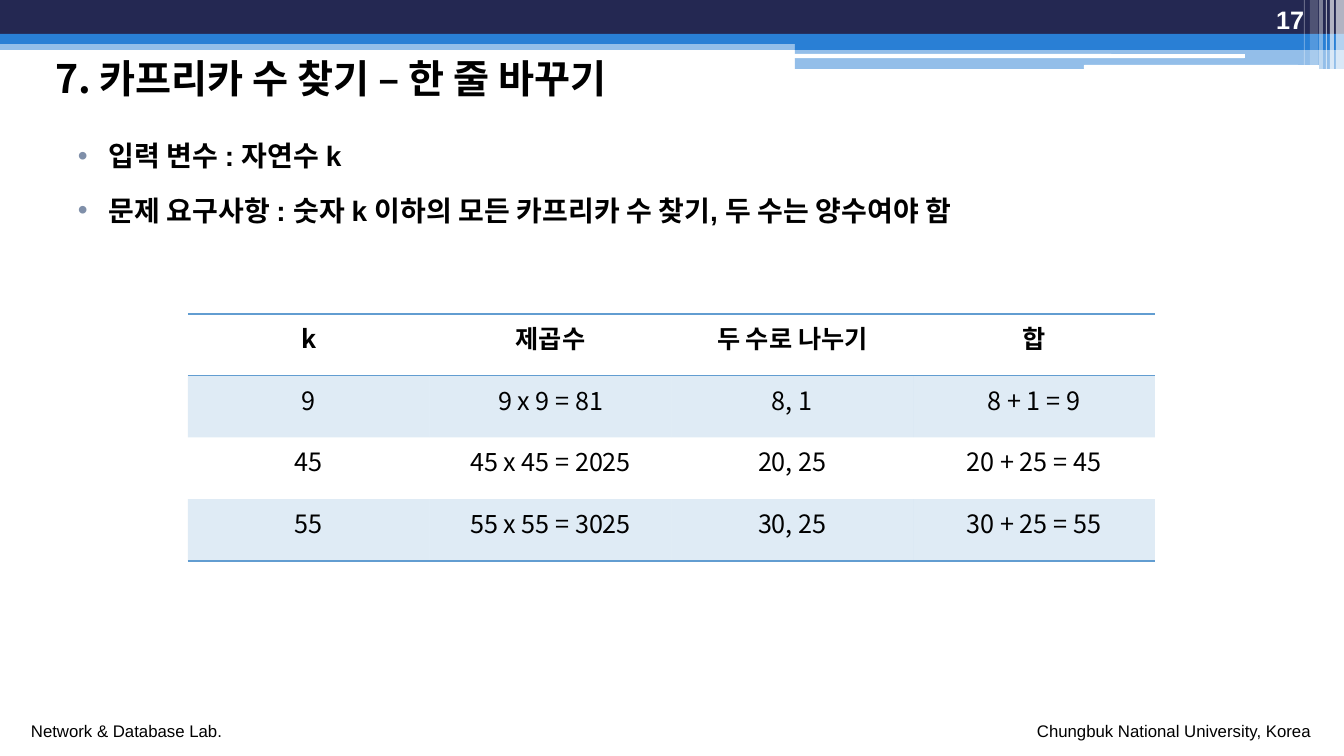
from lxml.etree import SubElement
from pptx import Presentation
from pptx.dml.color import RGBColor
from pptx.enum.shapes import MSO_SHAPE
from pptx.enum.text import MSO_ANCHOR, PP_ALIGN
from pptx.oxml.ns import qn
from pptx.util import Pt

EMU_PER_PX = 914400 / 100.8
LATIN, KOREAN = "Arial", "Noto Sans CJK KR"
COLORS = {
    "navy": "242852",
    "blue": "297FD5",
    "sky": "629DD1",
    "bullet": "7F8FA9",
    "black": "000000",
    "white": "FFFFFF",
}

BANDS = [
    ((0, 40, 1344, 10), "blue", 50),
    ((0, 0, 1344, 34), "navy", 100),
    ((0, 34, 1344, 10), "blue", 100),
    ((795, 39, 549, 11), "blue", 100),
    ((795, 49, 549, 20), "blue", 50),
]
SLITS = [(794, 54, 451, 4), (1084, 65, 235, 4)]
STRIPES = [
    (1336, 8, 69, 65),
    (1330, 4, 69, 65),
    (1326, 1, 69, 60),
    (1319, 4, 69, 40),
    (1310, 8, 65, 20),
    (1304, 1, 65, 30),
]
REQUIREMENTS = [
    "입력 변수 : 자연수 k",
    "문제 요구사항 : 숫자 k 이하의 모든 카프리카 수 찾기, 두 수는 양수여야 함",
]
KAPREKAR = [
    ["k", "제곱수", "두 수로 나누기", "합"],
    ["9", "9 x 9 = 81", "8, 1", "8 + 1 = 9"],
    ["45", "45 x 45 = 2025", "20, 25", "20 + 25 = 45"],
    ["55", "55 x 55 = 3025", "30, 25", "30 + 25 = 55"],
]
RULED_EDGES = {0, 1, len(KAPREKAR)}


def px(length):
    return round(length * EMU_PER_PX)


def write(paragraph, text, size=18, font=LATIN, color="black", bold=False,
          align=PP_ALIGN.LEFT):
    paragraph.alignment = align
    run = paragraph.add_run()
    run.text = text
    run.font.size = Pt(size)
    run.font.bold = bold
    run.font.name = font
    run.font.color.rgb = RGBColor.from_string(COLORS[color])
    SubElement(run.font._element, qn("a:ea"), typeface=KOREAN)


def paint(fill, parent, color, opacity=100):
    fill.solid()
    fill.fore_color.rgb = RGBColor.from_string(COLORS[color])
    if opacity < 100:
        tint = parent.find(qn("a:solidFill")).find(qn("a:srgbClr"))
        SubElement(tint, qn("a:alpha"), val=str(opacity * 1000))


class SlideBuilder:
    def __init__(self, deck):
        self.slide = deck.slides.add_slide(deck.slide_layouts[5])

    def block(self, box, color, opacity=100, kind=MSO_SHAPE.RECTANGLE):
        block = self.slide.shapes.add_shape(kind, *map(px, box))
        block.shadow.inherit = False
        block.line.fill.background()
        paint(block.fill, block._element.spPr, color, opacity)

    def title(self, box, text):
        title = self.slide.shapes.title
        title.left, title.top, title.width, title.height = map(px, box)
        title.text_frame.vertical_anchor = MSO_ANCHOR.MIDDLE
        write(title.text_frame.paragraphs[0], text, size=28, font=KOREAN, bold=True)

    def frame(self, box, wrap=True, anchor=MSO_ANCHOR.TOP):
        frame = self.slide.shapes.add_textbox(*map(px, box)).text_frame
        frame.word_wrap = wrap
        frame.vertical_anchor = anchor
        return frame

    def label(self, box, text, wrap=False, anchor=MSO_ANCHOR.TOP, **style):
        write(self.frame(box, wrap, anchor).paragraphs[0], text, **style)

    def bullets(self, box, items):
        frame = self.frame(box)
        for index, item in enumerate(items):
            paragraph = frame.add_paragraph() if index else frame.paragraphs[0]
            paragraph.line_spacing = 1.5
            paragraph.space_before = Pt(3 if index else 0)
            properties = paragraph._p.get_or_add_pPr()
            properties.set("marL", str(px(31)))
            properties.set("indent", str(px(-31)))
            bullet_color = SubElement(properties, qn("a:buClr"))
            SubElement(bullet_color, qn("a:srgbClr"), val=COLORS["bullet"])
            SubElement(properties, qn("a:buFont"), typeface=LATIN)
            SubElement(properties, qn("a:buChar"), char="•")
            write(paragraph, item, size=20, bold=True)

    def border(self, cell, side, visible):
        line = SubElement(cell._tc.get_or_add_tcPr(), qn(f"a:ln{side}"),
                          w=str(Pt(1) if visible else 0))
        if visible:
            ink = SubElement(line, qn("a:solidFill"))
            SubElement(ink, qn("a:srgbClr"), val=COLORS["sky"])
        else:
            SubElement(line, qn("a:noFill"))

    def table(self, box, rows):
        table = self.slide.shapes.add_table(
            len(rows), len(rows[0]), *map(px, box)).table
        table.first_row = table.horz_banding = False
        for row, texts in enumerate(rows):
            for column, text in enumerate(texts):
                cell = table.cell(row, column)
                write(cell.text_frame.paragraphs[0], text, font=KOREAN,
                      bold=row == 0, align=PP_ALIGN.CENTER)
                self.border(cell, "L", False)
                self.border(cell, "R", False)
                self.border(cell, "T", row in RULED_EDGES)
                self.border(cell, "B", row + 1 in RULED_EDGES)
                if row % 2:
                    paint(cell.fill, cell._tc.tcPr, "sky", 20)
                else:
                    cell.fill.background()


def main():
    deck = Presentation()
    deck.slide_width, deck.slide_height = px(1344), px(756)
    page = SlideBuilder(deck)
    for box, color, opacity in BANDS:
        page.block(box, color, opacity)
    for box in SLITS:
        page.block(box, "white", kind=MSO_SHAPE.ROUNDED_RECTANGLE)
    for left, width, height, opacity in STRIPES:
        page.block((left, 0, width, height), "white", opacity)
    page.label((21, 716, 213, 30), "Network & Database Lab.", size=12)
    page.label((1027, 716, 296, 30), "Chungbuk National University, Korea", size=12)
    page.title((45, 49, 1248, 58), "7. 카프리카 수 찾기 – 한 줄 바꾸기")
    page.label((1202, 0, 112, 40), "17", wrap=True, anchor=MSO_ANCHOR.BOTTOM,
               color="white", bold=True, align=PP_ALIGN.RIGHT)
    page.bullets((68, 117, 1210, 590), REQUIREMENTS)
    page.table((188, 314, 967, 247), KAPREKAR)
    deck.save("out.pptx")


if __name__ == "__main__":
    main()
